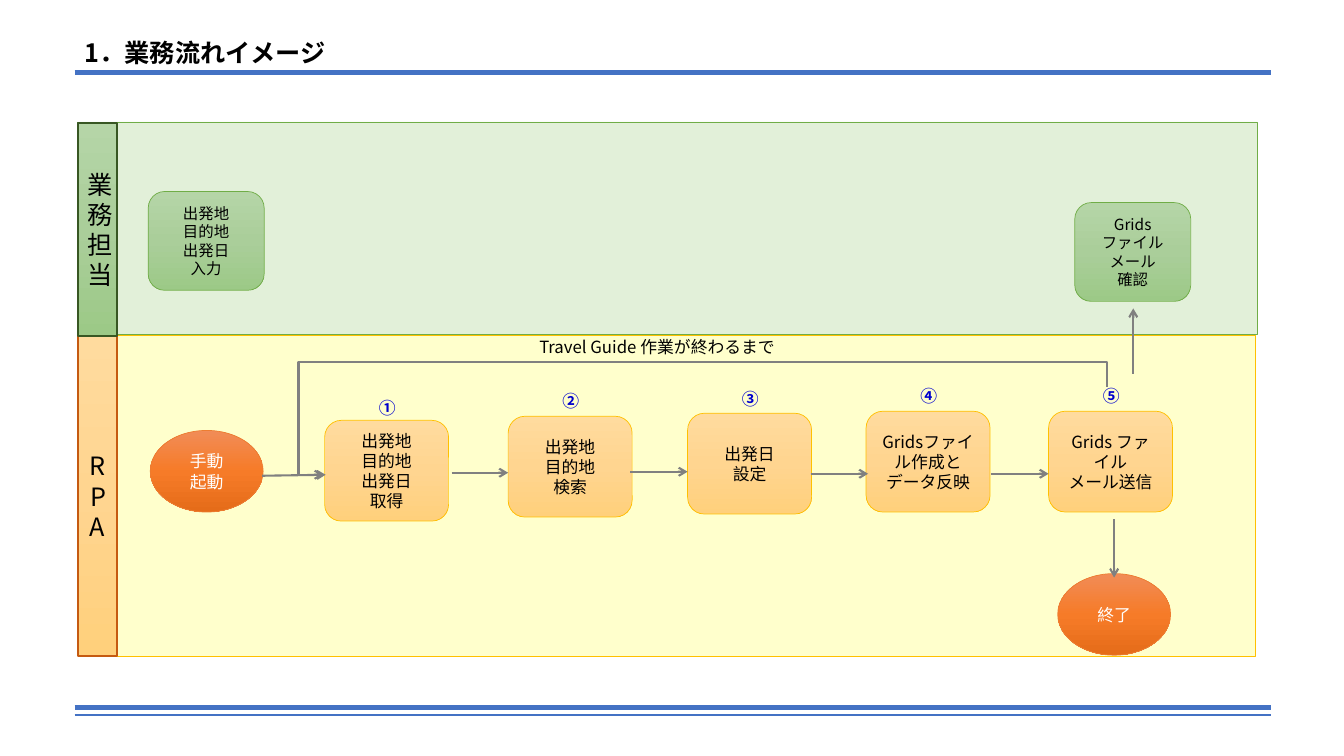
from copy import deepcopy
from dataclasses import dataclass

from pptx import Presentation
from pptx.dml.color import RGBColor
from pptx.enum.shapes import MSO_CONNECTOR, MSO_SHAPE
from pptx.enum.text import MSO_ANCHOR, PP_ALIGN
from pptx.oxml.ns import qn
from pptx.util import Pt
from lxml import etree

EMU_PER_PX = 9144
FONT = "Noto Sans CJK JP"
RECT, ROUND, OVAL = MSO_SHAPE.RECTANGLE, MSO_SHAPE.ROUNDED_RECTANGLE, MSO_SHAPE.OVAL
STRAIGHT, ELBOW = MSO_CONNECTOR.STRAIGHT, MSO_CONNECTOR.ELBOW
CENTER, LEFT = PP_ALIGN.CENTER, PP_ALIGN.LEFT
MIDDLE, TOP = MSO_ANCHOR.MIDDLE, MSO_ANCHOR.TOP

COLORS = {
    "rule": "4472C4", "arrow": "808080", "black": "000000", "white": "FFFFFF",
    "number": "0000CC", "rpa_lane": "FFFFCC", "staff_lane": "E2F0D9",
    "gold": "FFC000", "green": "70AD47", "orange": "ED7D31",
    "rpa_edge": "C55A11", "staff_edge": "385723",
}
GRADIENTS = {
    "rpa": ("FFDB9E", "FFD590", "FFD07C"),
    "staff": ("B5D5A7", "AACE9A", "9CC987"),
    "terminal": ("F18C57", "F67B28", "E56C19"),
}


@dataclass
class Node:
    preset: int
    box: tuple[int, int, int, int]
    fill: str
    edge: str
    edge_pt: float = 0.5
    text: str = ""
    size: int = 12
    color: str = "black"


@dataclass
class Label:
    text: str
    box: tuple[int, int, int, int]
    size: int = 12
    color: str = "black"
    bold: bool = False
    align: int = LEFT


@dataclass
class Line:
    start: tuple[int, int]
    end: tuple[int, int]
    color: str = "arrow"
    width: float = 1.5
    arrow: bool = True


@dataclass
class Step:
    number: str
    number_at: tuple[int, int]
    box_at: tuple[int, int]
    text: str


RULES = [Line((74, y), (1261, y), "rule", width, False)
         for y, width in ((702, 3), (709, 1.5), (72, 3))]
LANES = [
    Node(RECT, (114, 333, 1131, 318), "rpa_lane", "gold"),
    Node(RECT, (77, 121, 1170, 211), "staff_lane", "green"),
    Node(RECT, (77, 333, 39, 318), "rpa", "rpa_edge", 1.5, "RPA", 18),
    Node(RECT, (77, 122, 39, 211), "staff", "staff_edge", 1.5, "業務担当", 18),
]
TERMINALS = [Node(OVAL, (x, y, 112, 81), "terminal", "orange", text=text, color="white")
             for x, y, text in ((149, 427, "手動\n起動"), (1049, 569, "終了"))]
STAFF_TASKS = [Node(ROUND, (x, y, 115, 98), "staff", "green", text=text, size=11)
               for x, y, text in ((147, 190, "出発地\v目的地\v出発日\n入力"),
                                  (1066, 201, "Grids\nファイル\vメール\v確認"))]
STEPS = [
    Step("①", (366, 390), (322, 417), "出発地\v目的地\v出発日\n取得"),
    Step("②", (548, 383), (504, 413), "出発地\v目的地\n検索"),
    Step("③", (726, 381), (682, 410), "出発日\n設定"),
    Step("④", (903, 378), (859, 408), "Gridsファイル作成とデータ反映"),
    Step("⑤", (1084, 378), (1040, 408), "Grids ファイル\vメール送信"),
]
ARROWS = [
    Line((260, 472), (323, 471)),
    Line((448, 469), (504, 469)),
    Line((625, 468), (682, 468)),
    Line((804, 470), (861, 470)),
    Line((983, 470), (1040, 470)),
    Line((1105, 515), (1105, 573)),
    Line((1124, 371), (1124, 306)),
]
LOOP = Line((753, 816), (666, 39))
LOOP_ADJUST = {"adj1": -28600, "adj2": 103200}
TITLE = Label("1．業務流れイメージ", (74, 32, 343, 40), 18, bold=True)
LOOP_NOTE = Label("Travel Guide 作業が終わるまで", (525, 329, 275, 30))


def px(*lengths: int) -> list[int]:
    return [length * EMU_PER_PX for length in lengths]


def rgb(name: str) -> RGBColor:
    return RGBColor.from_string(COLORS[name])


def write(frame, text: str, size: int, color: str, bold: bool, align: int, anchor: int) -> None:
    frame.word_wrap = True
    frame.vertical_anchor = anchor
    for index, content in enumerate(text.split("\n")):
        paragraph = frame.add_paragraph() if index else frame.paragraphs[0]
        paragraph.alignment = align
        for row, words in enumerate(content.split("\v")):
            if row:
                paragraph.add_line_break()
            run = paragraph.add_run()
            run.text = words
            run.font.size = Pt(size)
            run.font.bold = bold
            run.font.color.rgb = rgb(color)
            run.font.name = FONT
            east_asian = etree.SubElement(run.font._element, qn("a:ea"))
            east_asian.set("typeface", FONT)


def paint_gradient(shape, shades: tuple[str, ...]) -> None:
    shape.fill.gradient()
    shape.fill.gradient_angle = 270
    stop_list = shape._element.spPr.find(".//" + qn("a:gsLst"))
    stop_list.append(deepcopy(stop_list[0]))
    for index, (stop, shade) in enumerate(zip(shape.fill.gradient_stops, shades)):
        stop.position = index / 2
        stop.color.rgb = RGBColor.from_string(shade)


def draw_node(slide, node: Node) -> None:
    shape = slide.shapes.add_shape(node.preset, *px(*node.box))
    shape.shadow.inherit = False
    if node.fill in GRADIENTS:
        paint_gradient(shape, GRADIENTS[node.fill])
    else:
        shape.fill.solid()
        shape.fill.fore_color.rgb = rgb(node.fill)
    shape.line.color.rgb = rgb(node.edge)
    shape.line.width = Pt(node.edge_pt)
    if node.text:
        write(shape.text_frame, node.text, node.size, node.color, False, CENTER, MIDDLE)


def draw_label(slide, label: Label) -> None:
    frame = slide.shapes.add_textbox(*px(*label.box)).text_frame
    write(frame, label.text, label.size, label.color, label.bold, label.align, TOP)


def draw_line(slide, line: Line, kind: int = STRAIGHT):
    connector = slide.shapes.add_connector(kind, *px(*line.start, *line.end))
    connector.line.color.rgb = rgb(line.color)
    connector.line.width = Pt(line.width)
    properties = connector._element.spPr
    if line.arrow:
        tail = etree.SubElement(properties.find(qn("a:ln")), qn("a:tailEnd"))
        tail.set("type", "arrow")
    etree.SubElement(properties, qn("a:effectLst"))
    return connector


def draw_loop(slide) -> None:
    properties = draw_line(slide, LOOP, ELBOW)._element.spPr
    properties.find(qn("a:xfrm")).set("rot", str(270 * 60000))
    geometry = properties.find(qn("a:prstGeom"))
    geometry.set("prst", "bentConnector4")
    adjustments = geometry.find(qn("a:avLst"))
    for name, value in LOOP_ADJUST.items():
        guide = etree.SubElement(adjustments, qn("a:gd"))
        guide.set("name", name)
        guide.set("fmla", f"val {value}")


def draw_step(slide, step: Step) -> None:
    draw_label(slide, Label(step.number, (*step.number_at, 34, 30), 12, "number", True, CENTER))
    draw_node(slide, Node(ROUND, (*step.box_at, 123, 100), "rpa", "gold", text=step.text))


def main() -> None:
    presentation = Presentation()
    presentation.slide_width, presentation.slide_height = px(1333, 750)
    slide = presentation.slides.add_slide(presentation.slide_layouts[6])
    for rule in RULES:
        draw_line(slide, rule)
    draw_label(slide, TITLE)
    for node in LANES + TERMINALS + STAFF_TASKS:
        draw_node(slide, node)
    draw_loop(slide)
    for step in STEPS:
        draw_step(slide, step)
    draw_label(slide, LOOP_NOTE)
    for arrow in ARROWS:
        draw_line(slide, arrow)
    presentation.save("out.pptx")


if __name__ == "__main__":
    main()
